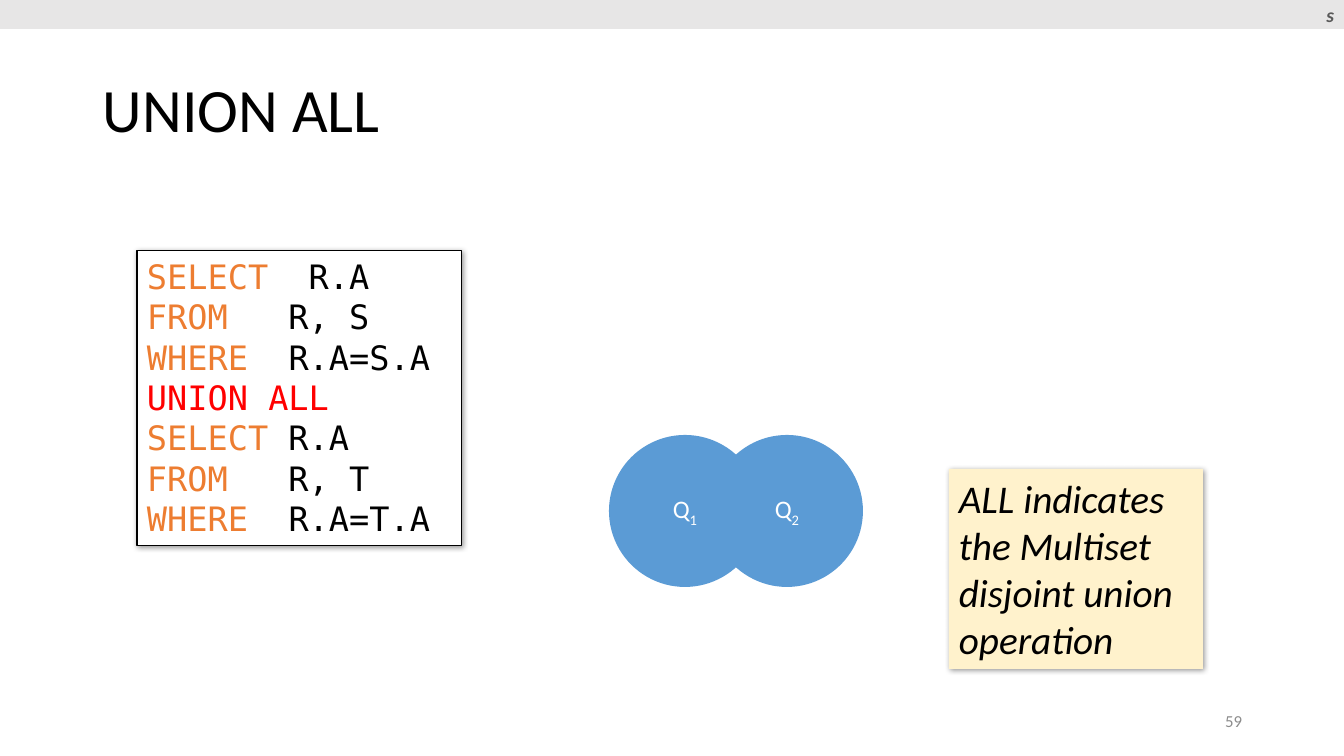
from lxml import etree
from pptx import Presentation, util as u
from pptx.dml.color import RGBColor
from pptx.enum import shapes, text
from pptx.oxml import parse_xml
from pptx.oxml.ns import nsdecls, qn

PX = 914400 / 100.8
COLORS = {
    "black": "000000",
    "white": "FFFFFF",
    "keyword": "ED7D31",
    "union": "FF0000",
    "circle": "5B9BD5",
    "note": "FFF2CC",
    "bar": "E7E6E6",
    "bar_text": "595959",
    "number": "8C8C8C",
}
QUERY = [
    ("SELECT", "  R.A", "keyword"),
    ("FROM", "   R, S", "keyword"),
    ("WHERE", "  R.A=S.A", "keyword"),
    ("UNION ALL", "", "union"),
    ("SELECT", " R.A", "keyword"),
    ("FROM", "   R, T", "keyword"),
    ("WHERE", "  R.A=T.A", "keyword"),
]


def emu(box):
    return [u.Emu(round(length * PX)) for length in box]


def color(name):
    return RGBColor.from_string(COLORS[name])


def style(paragraph, size, ink="black", face="Calibri", align="LEFT", bold=False, italic=False):
    paragraph.alignment = getattr(text.PP_ALIGN, align)
    font = paragraph.font
    font.name, font.size = face, u.Pt(size)
    font.bold, font.italic = bold, italic
    font.color.rgb = color(ink)


def add_panel(slide, box, fill, kind="RECTANGLE", anchor="MIDDLE"):
    shape = slide.shapes.add_shape(getattr(shapes.MSO_SHAPE, kind), *emu(box))
    shape.shadow.inherit = False
    shape.fill.solid()
    shape.fill.fore_color.rgb = color(fill)
    shape.line.fill.background()
    shape.text_frame.word_wrap = True
    shape.text_frame.vertical_anchor = getattr(text.MSO_ANCHOR, anchor)
    return shape


def add_shadow(shape):
    effects = shape._element.spPr.find(qn("a:effectLst"))
    effects.append(parse_xml(
        f'<a:outerShdw {nsdecls("a")} blurRad="50800" dist="12700" dir="2700000" '
        f'algn="tl" rotWithShape="0"><a:srgbClr val="{COLORS["black"]}">'
        '<a:alpha val="40000"/></a:srgbClr></a:outerShdw>'))


def add_label(slide, box, words, size, ink, align="LEFT"):
    frame = slide.shapes.add_textbox(*emu(box)).text_frame
    frame.word_wrap = True
    frame.vertical_anchor = text.MSO_ANCHOR.MIDDLE
    paragraph = frame.paragraphs[0]
    paragraph.text = words
    style(paragraph, size, ink, align=align)
    return paragraph


def add_query(slide, box):
    panel = add_panel(slide, box, "white", anchor="TOP")
    panel.line.color.rgb = color("black")
    panel.line.width = u.Pt(0.75)
    add_shadow(panel)
    frame = panel.text_frame
    for index, (keyword, rest, ink) in enumerate(QUERY):
        paragraph = frame.add_paragraph() if index else frame.paragraphs[0]
        style(paragraph, 24, face="DejaVu Sans Mono")
        for words, run_ink in ((keyword, ink), (rest, "black")):
            if words:
                run = paragraph.add_run()
                run.text = words
                run.font.color.rgb = color(run_ink)


def add_venn(slide, box):
    left, top, width, diameter = box
    for index, offset in enumerate((0, width - diameter), 1):
        circle = add_panel(slide, (left + offset, top, diameter, diameter), "circle", "OVAL")
        paragraph = circle.text_frame.paragraphs[0]
        style(paragraph, 18, "white", align="CENTER")
        paragraph.add_run().text = "Q"
        subscript = paragraph.add_run()
        subscript.text = str(index)
        subscript._r.get_or_add_rPr().set("baseline", "-25000")


def add_note(slide, box):
    note = add_panel(slide, box, "note", anchor="TOP")
    add_shadow(note)
    paragraph = note.text_frame.paragraphs[0]
    paragraph.text = "ALL indicates the Multiset disjoint union operation"
    style(paragraph, 28, italic=True)


def add_bar(slide, box):
    paragraph = add_panel(slide, box, "bar").text_frame.paragraphs[0]
    paragraph.text = "s"
    style(paragraph, 14, "bar_text", align="RIGHT", bold=True, italic=True)


def main():
    presentation = Presentation()
    presentation.slide_width, presentation.slide_height = emu((1344, 756))
    slide = presentation.slides.add_slide(presentation.slide_layouts[6])
    title = add_label(slide, (93, 40, 1159, 146), "UNION ALL", 44, "black")
    title.line_spacing = 0.9
    add_label(slide, (950, 701, 302, 40), "59", 12, "number", "RIGHT")
    add_query(slide, (137, 251, 325, 295))
    add_venn(slide, (609, 435, 254, 152))
    add_note(slide, (949, 469, 254, 200))
    add_bar(slide, (0, 0, 1344, 29))
    presentation.save("out.pptx")


if __name__ == "__main__":
    main()
